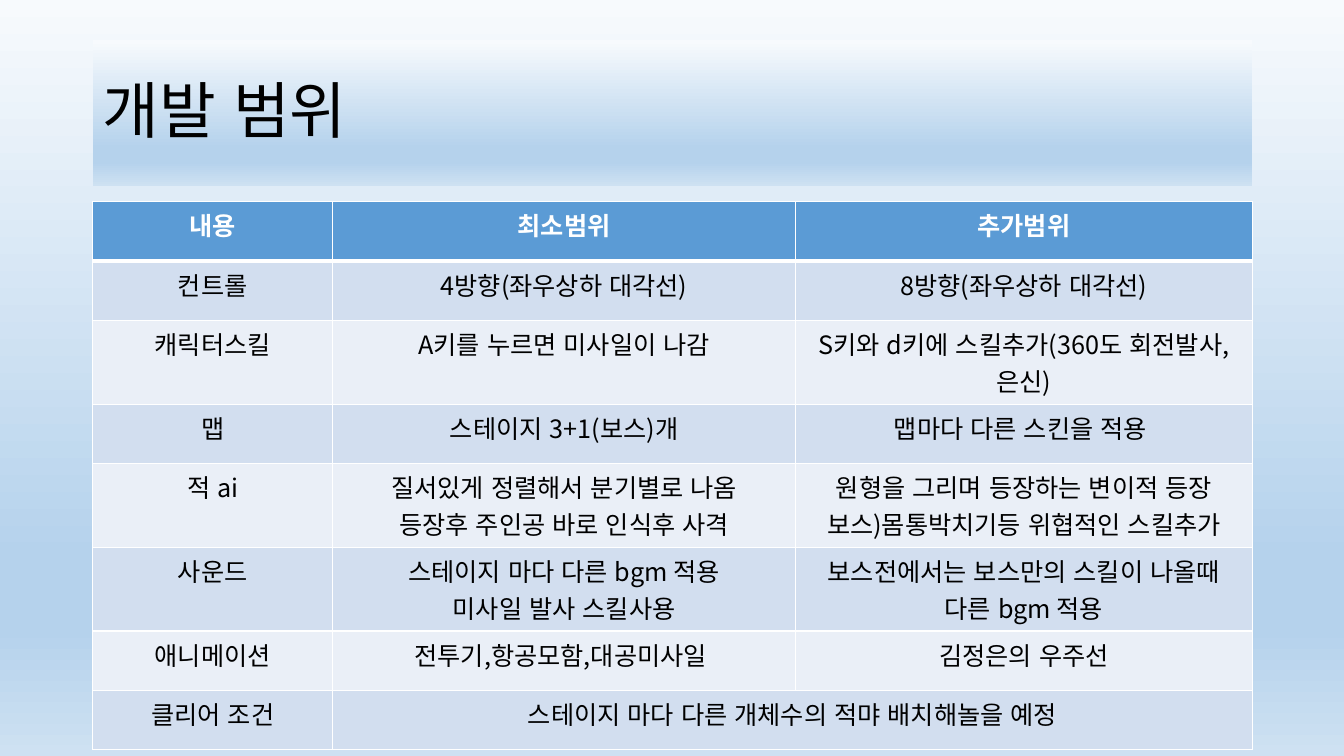
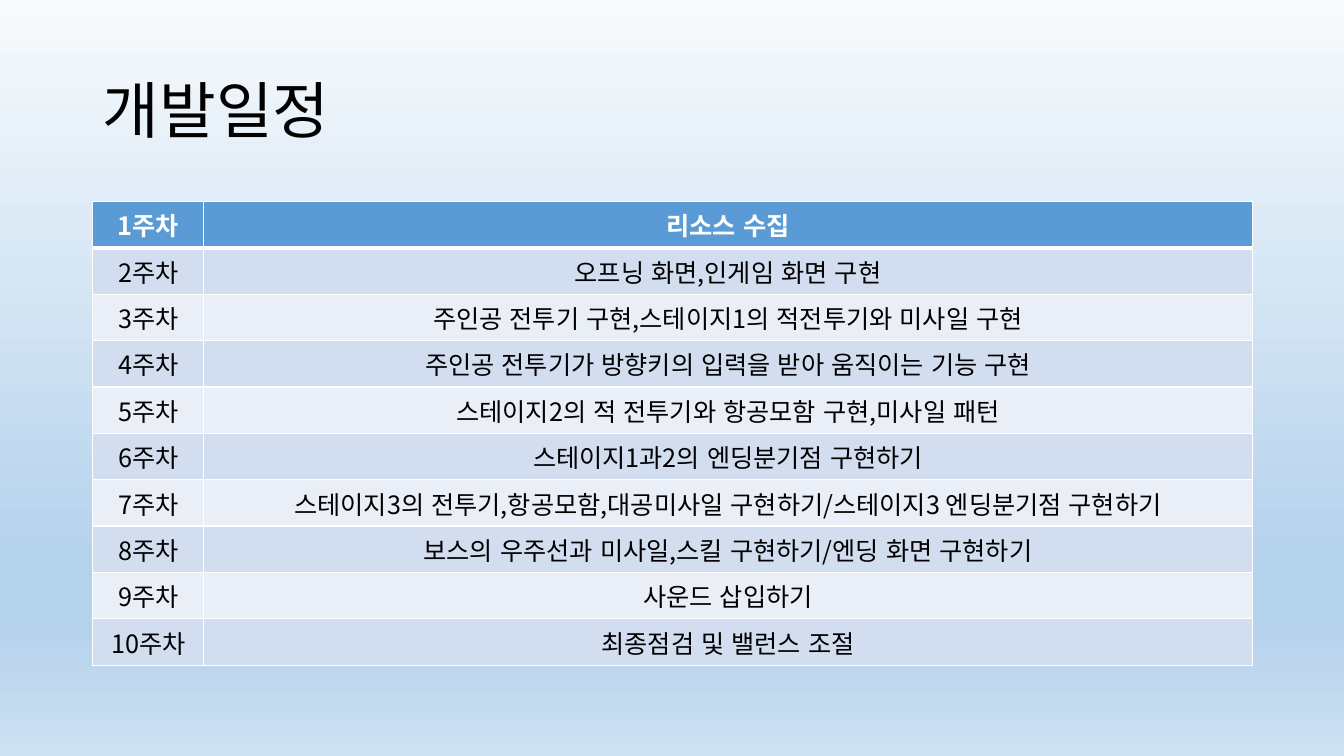
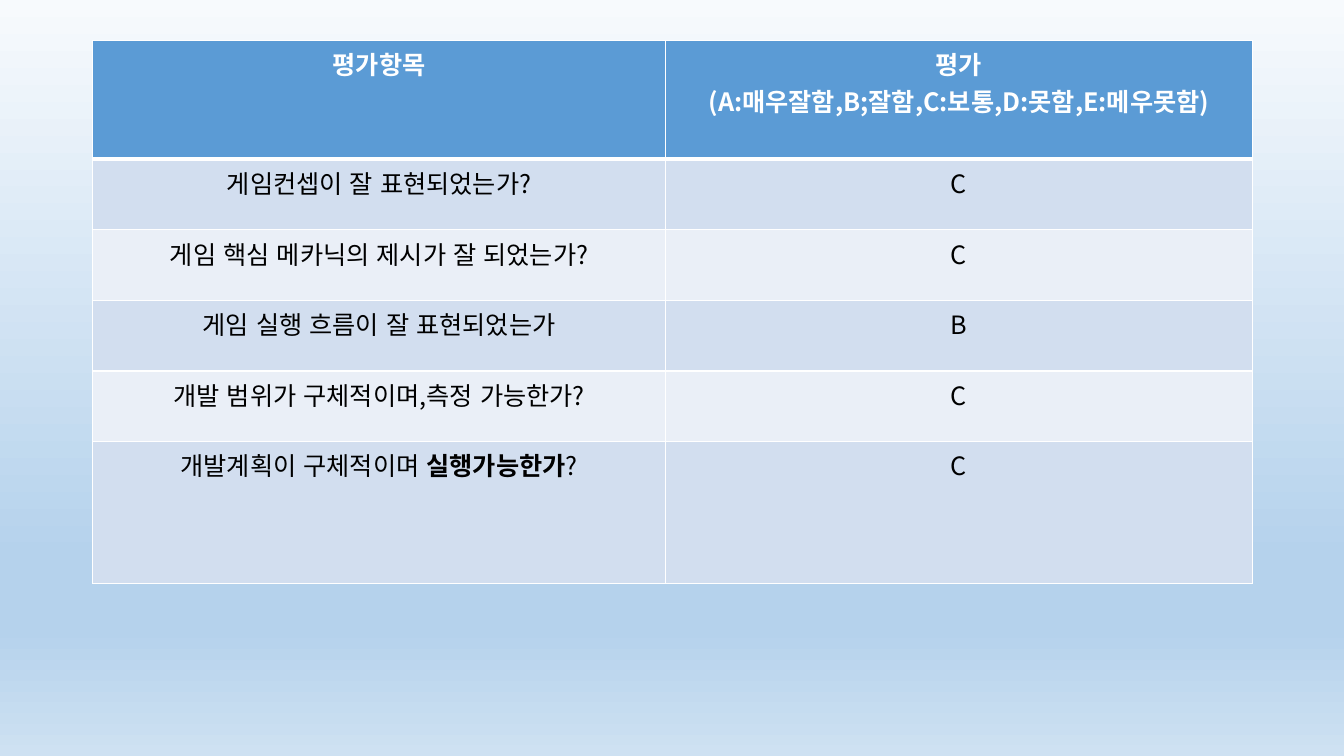
from copy import deepcopy

from pptx import Presentation
from pptx.dml.color import RGBColor
from pptx.enum.lang import MSO_LANGUAGE_ID
from pptx.enum.text import MSO_ANCHOR, PP_ALIGN
from pptx.oxml import parse_xml
from pptx.oxml.ns import nsdecls, qn
from pptx.util import Inches, Pt

CENTER = PP_ALIGN.CENTER
LEFT = PP_ALIGN.LEFT
MIDDLE = MSO_ANCHOR.MIDDLE
KOREAN = MSO_LANGUAGE_ID.KOREAN

FONT = "Noto Sans CJK KR"
BLACK, WHITE = "000000", "FFFFFF"
HEADER, BANDS = "5B9BD5", ("EAEFF7", "D2DEEF")
SKY = [(0, "F7FAFD"), (74, "B5D2EC"), (83, "B5D2EC"), (100, "CEE1F2")]
MARGIN, TOP, WIDTH, TITLE_HEIGHT = 0.92, 0.4, 11.5, 1.45
TABLE_TOP = 2
HEADER_RULE = (f'<a:lnB {nsdecls("a")} w="{Pt(3)}" cap="flat" cmpd="sng" algn="ctr">'
               f'<a:solidFill><a:srgbClr val="{WHITE}"/></a:solidFill>'
               '<a:prstDash val="solid"/></a:lnB>')

color = RGBColor.from_string


def fill_sky(fill, element):
    fill.gradient()
    fill.gradient_angle = 270
    stops = element.find(".//" + qn("a:gsLst"))
    while len(stops) < len(SKY):
        stops.append(deepcopy(stops[0]))
    for stop, (percent, shade) in zip(fill.gradient_stops, SKY):
        stop.position = percent / 100
        stop.color.rgb = color(shade)


def write(frame, text, size, shade, bold, align):
    frame.text = text
    for para in frame.paragraphs:
        para.alignment = align
        pieces = para.text.split("*")
        para.clear()
        for index, piece in enumerate(pieces):
            span = para.add_run()
            span.text = piece
            font = {"name": FONT, "size": Pt(size), "bold": bold or index % 2 == 1,
                    "language_id": KOREAN}
            for key, value in font.items():
                setattr(span.font, key, value)
            span.font.color.rgb = color(shade)
            east_asian = span.font._element.makeelement(qn("a:ea"), {"typeface": FONT})
            span.font._element.append(east_asian)


SLIDES = [
    {
        "title": "개발 범위", "band": True, "top": TABLE_TOP,
        "columns": [2.38, 4.59, 4.53],
        "heights": [0.59, 0.59, 0.83, 0.59, 0.83, 0.83, 0.59, 0.59],
        "rows": [
            ["내용", "최소범위", "추가범위"],
            ["컨트롤", "4방향(좌우상하 대각선)", "8방향(좌우상하 대각선)"],
            ["캐릭터스킬", "A키를 누르면 미사일이 나감",
             "S키와 d키에 스킬추가(360도 회전발사,은신)"],
            ["맵", "스테이지 3+1(보스)개", "맵마다 다른 스킨을 적용 "],
            ["적 ai", "질서있게 정렬해서 분기별로 나옴\n등장후 주인공 바로 인식후 사격",
             "원형을 그리며 등장하는 변이적 등장\n보스)몸통박치기등 위협적인 스킬추가"],
            ["사운드", "스테이지 마다 다른 bgm 적용\n미사일 발사 스킬사용",
             "보스전에서는 보스만의 스킬이 나올때 다른 bgm 적용"],
            ["애니메이션", "전투기,항공모함,대공미사일 ", "김정은의 우주선"],
            ["클리어 조건", "스테이지 마다 다른 개체수의 적먀 배치해놀을 예정"],
        ],
    },
    {
        "title": "개발일정", "band": False, "top": TABLE_TOP,
        "columns": [1.1, 10.4], "heights": [0.46] * 10,
        "rows": [[f"{week}주차", task] for week, task in enumerate([
            "리소스 수집",
            "오프닝 화면,인게임 화면 구현",
            "주인공 전투기 구현,스테이지1의 적전투기와 미사일 구현",
            "주인공 전투기가 방향키의 입력을 받아 움직이는 기능 구현",
            "스테이지2의 적 전투기와 항공모함 구현,미사일 패턴",
            "스테이지1과2의 엔딩분기점 구현하기",
            "스테이지3의 전투기,항공모함,대공미사일 구현하기/스테이지3 엔딩분기점 구현하기",
            "보스의 우주선과 미사일,스킬 구현하기/엔딩 화면 구현하기",
            "사운드 삽입하기",
            "최종점검 및 밸런스 조절",
        ], 1)],
    },
    {
        "title": None, "band": False, "top": TOP,
        "columns": [5.68, 5.82], "heights": [1.18] + [0.7] * 4 + [1.41],
        "rows": [
            ["평가항목", "평가\n(A:매우잘함,B;잘함,C:보통,D:못함,E:메우못함)"],
            ["게임컨셉이 잘 표현되었는가?", "C"],
            ["게임 핵심 메카닉의 제시가 잘 되었는가?", "C"],
            ["게임 실행 흐름이 잘 표현되었는가", "B"],
            ["개발 범위가 구체적이며,측정 가능한가?", "C"],
            ["개발계획이 구체적이며 *실행가능한가*?", "C"],
        ],
    },
]

deck = Presentation()
deck.slide_width, deck.slide_height = Inches(13.33), Inches(7.5)
master = deck.slide_master
fill_sky(master.background.fill, master._element)

for content in SLIDES:
    page = deck.slides.add_slide(deck.slide_layouts[6])

    if content["title"]:
        title = page.shapes.add_textbox(
            Inches(MARGIN), Inches(TOP), Inches(WIDTH), Inches(TITLE_HEIGHT))
        frame = title.text_frame
        frame.word_wrap = True
        frame.vertical_anchor = MIDDLE
        write(frame, content["title"], 44, BLACK, False, LEFT)
        frame.paragraphs[0].line_spacing = 0.9
        if content["band"]:
            fill_sky(title.fill, title._element)

    columns, heights, rows = content["columns"], content["heights"], content["rows"]
    table = page.shapes.add_table(
        len(rows), len(columns), Inches(MARGIN), Inches(content["top"]),
        Inches(WIDTH), Inches(sum(heights))).table
    for column, width in zip(table.columns, columns):
        column.width = Inches(width)
    for number, (row, height, texts) in enumerate(zip(table.rows, heights, rows)):
        row.height = Inches(height)
        header = number == 0
        for cell in row.cells:
            cell.fill.solid()
            cell.fill.fore_color.rgb = color(HEADER if header else BANDS[number % 2])
            if header:
                cell._tc.get_or_add_tcPr().insert(0, parse_xml(HEADER_RULE))
        for cell, text in zip(row.cells, texts):
            write(cell.text_frame, text, 18, WHITE if header else BLACK, header, CENTER)
        if len(texts) < len(columns):
            table.cell(number, len(texts) - 1).merge(table.cell(number, len(columns) - 1))

deck.save("out.pptx")
